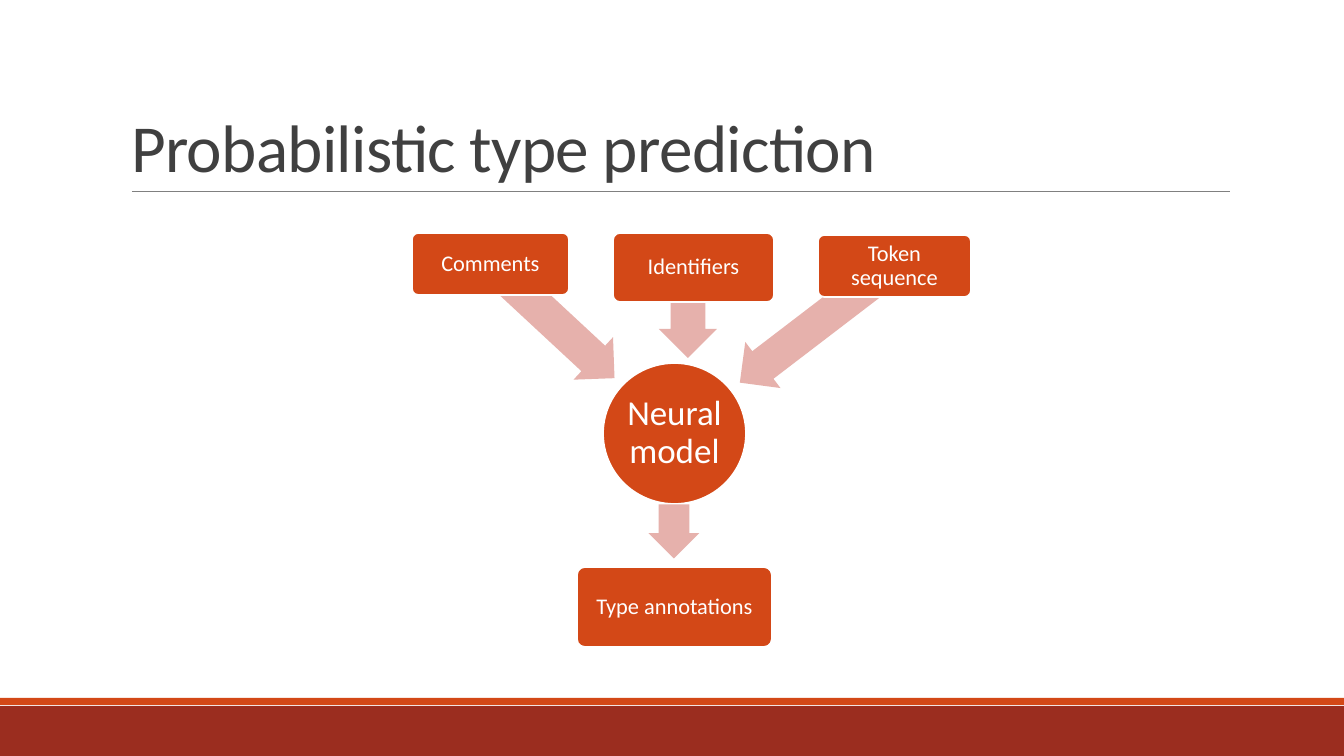
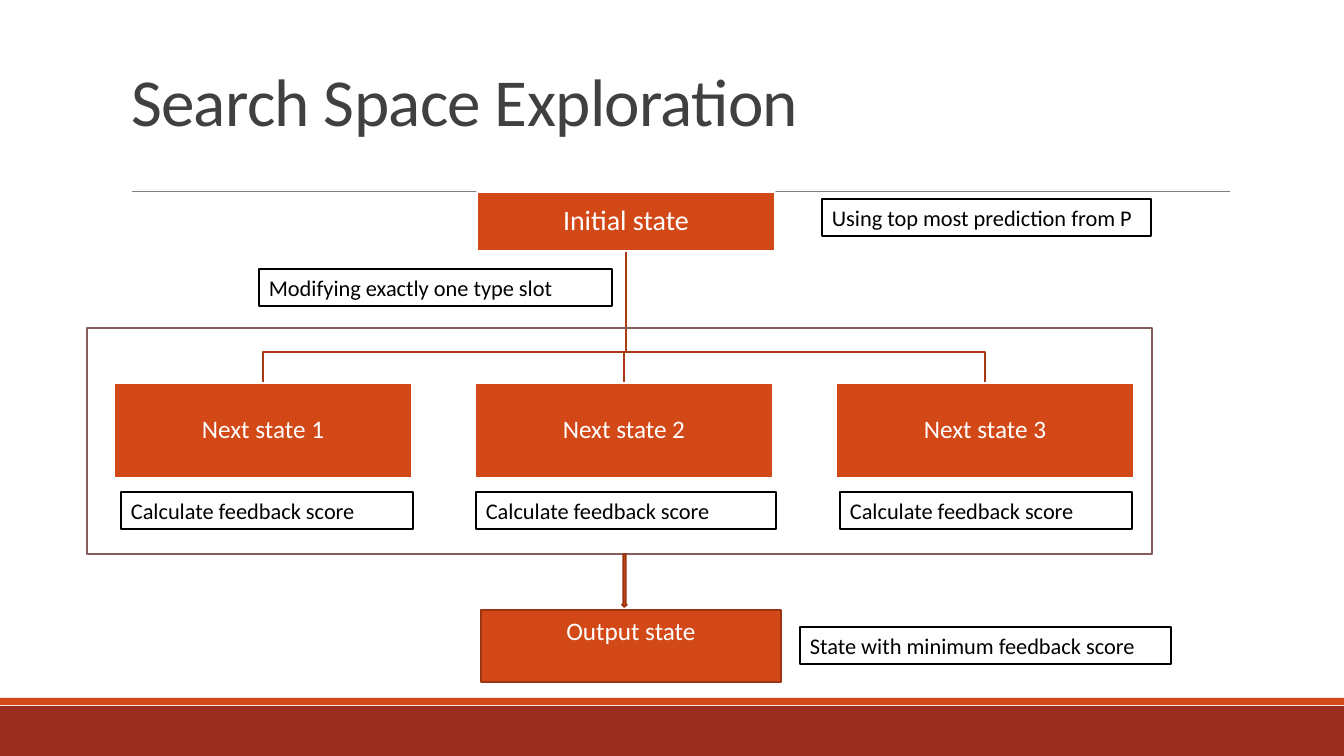
from dataclasses import dataclass

from pptx import Presentation
from pptx.dml.color import RGBColor
from pptx.enum.shapes import MSO_CONNECTOR, MSO_SHAPE as SHAPE
from pptx.enum.text import MSO_ANCHOR as ANCHOR, MSO_AUTO_SIZE, PP_ALIGN as ALIGN
from pptx.oxml.xmlchemy import OxmlElement
from pptx.util import Inches, Pt

EMU_PER_PIXEL = 914400 / 100.8
FONT = "Calibri"
ORANGE, DARK_RED, PINK = "D34817", "9B2D1F", "E6B1AC"
BRANCH, OUTLINE, FRAME = "A93A12", "9C3511", "855D5D"
WHITE, BLACK, GRAY, TITLE_GRAY = "FFFFFF", "000000", "808080", "404040"


def px(length):
    return round(length * EMU_PER_PIXEL)


def color(value):
    return RGBColor.from_string(value)


@dataclass
class Region:
    left: int
    top: int

    def box(self, x, y, width, height):
        return self.left + x, self.top + y, width, height


def style_line(shape, line, weight=1.25):
    if line:
        shape.line.color.rgb = color(line)
        shape.line.width = Pt(weight)
    else:
        shape.line.fill.background()


def add_shape(slide, kind, box, fill=None, line=None):
    shape = slide.shapes.add_shape(kind, *map(px, box))
    shape.shadow.inherit = False
    if fill:
        shape.fill.solid()
        shape.fill.fore_color.rgb = color(fill)
    else:
        shape.fill.background()
    style_line(shape, line)
    return shape


def write(shape, text, size, text_color=WHITE, align=ALIGN.CENTER,
          anchor=ANCHOR.MIDDLE, spacing=None, inset=None):
    frame = shape.text_frame
    frame.word_wrap = True
    frame.auto_size = MSO_AUTO_SIZE.NONE
    frame.vertical_anchor = anchor
    if inset is not None:
        frame.margin_left = frame.margin_right = Inches(inset)
        frame.margin_top = frame.margin_bottom = Inches(inset)
    frame.text = text
    paragraph = frame.paragraphs[0]
    paragraph.alignment = align
    if spacing:
        paragraph.line_spacing = spacing
    font = paragraph.font
    font.name, font.size = FONT, Pt(size)
    font.color.rgb = color(text_color)
    return paragraph


def add_node(slide, kind, box, text, size, inset):
    node = add_shape(slide, kind, box, ORANGE, WHITE)
    write(node, text, size, spacing=0.9, inset=inset)
    return node


def add_note(slide, box, text):
    note = add_shape(slide, SHAPE.RECTANGLE, box, WHITE, BLACK)
    write(note, text, 16, BLACK, ALIGN.LEFT, ANCHOR.TOP)


def add_titled_slide(presentation, text, title_box):
    slide = presentation.slides.add_slide(presentation.slide_layouts[5])
    # Title
    title = slide.shapes.title
    title.left, title.top, title.width, title.height = map(px, title_box)
    paragraph = write(title, text, 48, TITLE_GRAY, ALIGN.LEFT, ANCHOR.BOTTOM, 0.85)
    paragraph._p.get_or_add_pPr().get_or_add_defRPr().set("spc", "-50")
    # Footer bands
    add_shape(slide, SHAPE.RECTANGLE, (0, 706, 1344, 50), DARK_RED)
    add_shape(slide, SHAPE.RECTANGLE, (0, 698, 1344, 7), ORANGE)
    # Rule under the title
    rule = slide.shapes.add_connector(
        MSO_CONNECTOR.STRAIGHT, px(132), px(191), px(1230), px(191))
    style_line(rule, GRAY, 0.5)
    rule._element.spPr.append(OxmlElement("a:effectLst"))
    return slide


def draw_prediction_flow(slide, region):
    # Model
    add_node(slide, SHAPE.OVAL, region.box(191, 130, 143, 141),
             "Neural model", 25, 0.02)
    # Arrows, then the boxes that cover their tails
    arrows = [
        ((230, 50, 92, 58), 270),
        ((57, 59, 168, 58), 222.9),
        ((308, 62, 193, 58), 322.6),
        ((235, 273, 54, 51), 270),
    ]
    for box, rotation in arrows:
        arrow = add_shape(slide, SHAPE.LEFT_ARROW, region.box(*box), PINK)
        arrow.adjustments[0], arrow.adjustments[1] = 0.6, 0.5
        arrow.rotation = rotation
    # Inputs and output
    nodes = [
        ("Comments", (0, 0, 157, 62)),
        ("Identifiers", (201, 0, 161, 69)),
        ("Token sequence", (406, 2, 153, 62)),
        ("Type annotations", (165, 334, 195, 80)),
    ]
    for text, box in nodes:
        node = add_node(slide, SHAPE.ROUNDED_RECTANGLE, region.box(*box),
                        text, 16, 0.03)
        node.adjustments[0] = 0.1


def draw_branch(slide, region, points):
    placed = [(region.left + x, region.top + y) for x, y in points]
    builder = slide.shapes.build_freeform(*placed[0], scale=EMU_PER_PIXEL)
    builder.add_line_segments(placed[1:], close=False)
    branch = builder.convert_to_shape()
    branch.shadow.inherit = False
    branch.fill.background()
    style_line(branch, BRANCH)


def draw_search_tree(slide, region):
    trunk, root_bottom, elbow, state_top = 539, 59, 160, 191
    state_width, state_pitch, first_state = 298, 361, 27
    state_lefts = [first_state + i * state_pitch for i in range(3)]

    # Branches
    for left in state_lefts:
        center = left + state_width / 2
        draw_branch(slide, region, [(trunk, root_bottom), (trunk, elbow),
                                    (center, elbow), (center, state_top)])
    # States
    add_node(slide, SHAPE.RECTANGLE,
             region.box(390, 0, state_width, root_bottom),
             "Initial state", 20, 0.01)
    for number, left in enumerate(state_lefts, 1):
        add_node(slide, SHAPE.RECTANGLE,
                 region.box(left, state_top, state_width, 95),
                 f"Next state {number}", 18, 0.01)
    # Notes
    add_note(slide, region.box(735, 7, 329, 37), "Using top most prediction from P")
    add_note(slide, region.box(172, 77, 353, 37), "Modifying exactly one type slot")
    add_note(slide, region.box(713, 435, 371, 37), "State with minimum feedback score")
    for left, width in ((34, 292), (389, 300), (753, 292)):
        add_note(slide, region.box(left, 300, width, 37), "Calculate feedback score")
    # Frame around the next states, and the output
    add_shape(slide, SHAPE.RECTANGLE, region.box(0, 136, 1065, 226), line=FRAME)
    output = add_shape(slide, SHAPE.RECTANGLE, region.box(394, 418, 300, 72),
                       ORANGE, OUTLINE)
    write(output, "Output state", 18, anchor=ANCHOR.TOP)
    add_shape(slide, SHAPE.DOWN_ARROW, region.box(535, 362, 5, 53), ORANGE, OUTLINE)


presentation = Presentation()
presentation.slide_width, presentation.slide_height = px(1344), px(756)

prediction = add_titled_slide(
    presentation, "Probabilistic type prediction", (121, 31, 1109, 160))
draw_prediction_flow(prediction, Region(412, 233))

search = add_titled_slide(
    presentation, "Search Space Exploration", (121, 21, 1109, 124))
draw_search_tree(search, Region(87, 192))

presentation.save("out.pptx")
